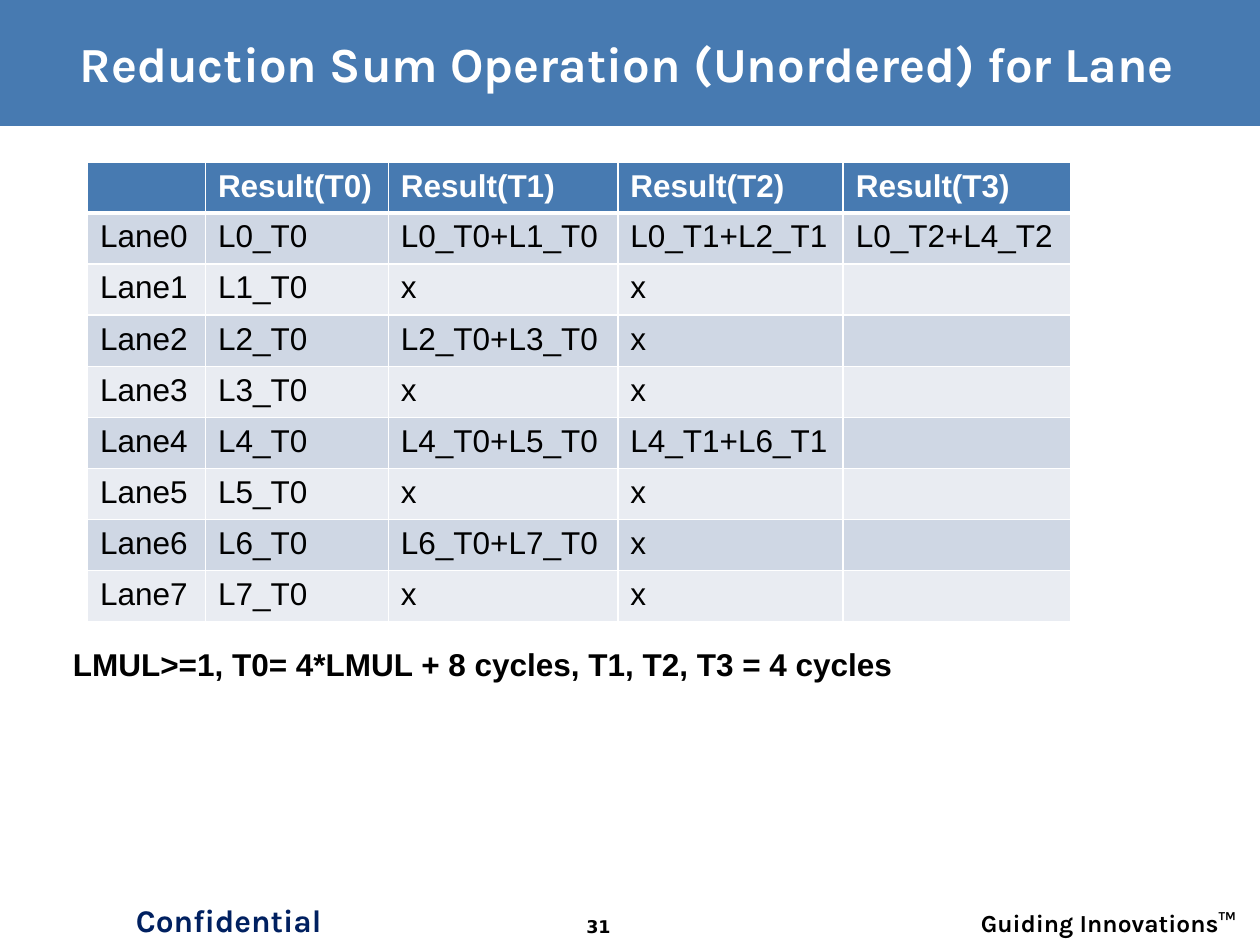
from dataclasses import dataclass

from lxml.etree import SubElement
from pptx import Presentation
from pptx.dml.color import RGBColor
from pptx.enum.shapes import MSO_SHAPE
from pptx.enum.text import MSO_ANCHOR, PP_ALIGN
from pptx.oxml import parse_xml
from pptx.oxml.ns import nsdecls, qn
from pptx.util import Pt


@dataclass(frozen=True)
class Theme:
    blue: str = "477AB1"
    navy: str = "002060"
    white: str = "FFFFFF"
    black: str = "000000"
    dark: str = "CFD7E4"
    light: str = "E9ECF2"
    head: int = 28
    body: int = 18
    tag: int = 14
    num: int = 10


theme = Theme()


def style(run, face, size, tint, bold=True):
    look = {"name": face, "size": Pt(size), "bold": bold}
    for key, val in look.items():
        setattr(run.font, key, val)
    run.font.color.rgb = RGBColor.from_string(tint)


def label(box, text, face, size, tint, align, anchor=MSO_ANCHOR.TOP):
    frame = slide.shapes.add_textbox(*map(Pt, box)).text_frame
    for key, val in {"word_wrap": True, "vertical_anchor": anchor}.items():
        setattr(frame, key, val)
    para = frame.paragraphs[0]
    para.alignment = align
    run = para.add_run()
    run.text = text
    style(run, face, size, tint)
    return run


deck = Presentation()
deck.slide_width, deck.slide_height = Pt(720), Pt(540)
slide = deck.slides.add_slide(deck.slide_layouts[6])

# Title band
band = slide.shapes.add_shape(MSO_SHAPE.RECTANGLE, 0, 0, Pt(720), Pt(72))
band.shadow.inherit = False
band.fill.solid()
band.fill.fore_color.rgb = RGBColor.from_string(theme.blue)
band.line.fill.background()

# Footer
label((67.7, 511.2, 126, 28.8), "Confidential", "Karla", theme.body,
      theme.navy, PP_ALIGN.CENTER)
label((542.9, 515.5, 170.6, 19.4), "Guiding Innovations™", "Karla", theme.tag,
      theme.black, PP_ALIGN.RIGHT)
label((308.9, 519.8, 66.2, 20.2), "31", "DejaVu Sans", theme.num,
      theme.black, PP_ALIGN.CENTER)

# Title with a text shadow
title = label((15.8, 12.2, 684.7, 47.5),
              "Reduction Sum Operation (Unordered) for Lane", "Karla",
              theme.head, theme.white, PP_ALIGN.CENTER, MSO_ANCHOR.MIDDLE)
shade = parse_xml(
    f'<a:effectLst {nsdecls("a")}><a:outerShdw dist="35921" dir="2700000">'
    f'<a:srgbClr val="{theme.black}"/></a:outerShdw></a:effectLst>')
title.font._element.find(qn("a:solidFill")).addnext(shade)

# Table values: each step adds pairs of lanes twice as far apart
rows = [[""] + [f"Result(T{step})" for step in range(4)]]
for lane in range(8):
    row = [f"Lane{lane}", f"L{lane}_T0"]
    for step in range(1, 4):
        gap, last = 2 ** (step - 1), step - 1
        if lane % (2 * gap) == 0:
            row.append(f"L{lane}_T{last}+L{lane + gap}_T{last}")
        else:
            row.append("x" if step < 3 else "")
    rows.append(row)

# Table
wide = [67.4, 104.5, 131.2, 128.8, 130.1]
tall = [28] + [29.2] * 8
grid = slide.shapes.add_table(len(rows), len(wide), Pt(50), Pt(92.9),
                              Pt(sum(wide)), Pt(sum(tall))).table
for col, size in zip(grid.columns, wide):
    col.width = Pt(size)
for y, row in enumerate(rows):
    grid.rows[y].height = Pt(tall[y])
    top = y == 0
    back = theme.blue if top else theme.dark if y % 2 else theme.light
    rule = {"lnL": 1, "lnR": 1, "lnT": 3 if y == 1 else 1,
            "lnB": 3 if top else 1}
    for x, text in enumerate(row):
        cell = grid.cell(y, x)
        prop = cell._tc.get_or_add_tcPr()
        for side, size in rule.items():
            edge = SubElement(prop, qn(f"a:{side}"), w=str(Pt(size)))
            fill = SubElement(edge, qn("a:solidFill"))
            SubElement(fill, qn("a:srgbClr"), val=theme.white)
        cell.fill.solid()
        cell.fill.fore_color.rgb = RGBColor.from_string(back)
        para = cell.text_frame.paragraphs[0]
        para.font.size = Pt(theme.body)
        if text:
            run = para.add_run()
            run.text = text
            style(run, "Arial", theme.body,
                  theme.white if top else theme.black, top)

# Cycle counts
label((34.6, 365, 622.8, 51.1),
      "LMUL>=1, T0= 4*LMUL + 8 cycles, T1, T2, T3 = 4 cycles", "Arial",
      theme.body, theme.black, PP_ALIGN.LEFT)

deck.save("out.pptx")
